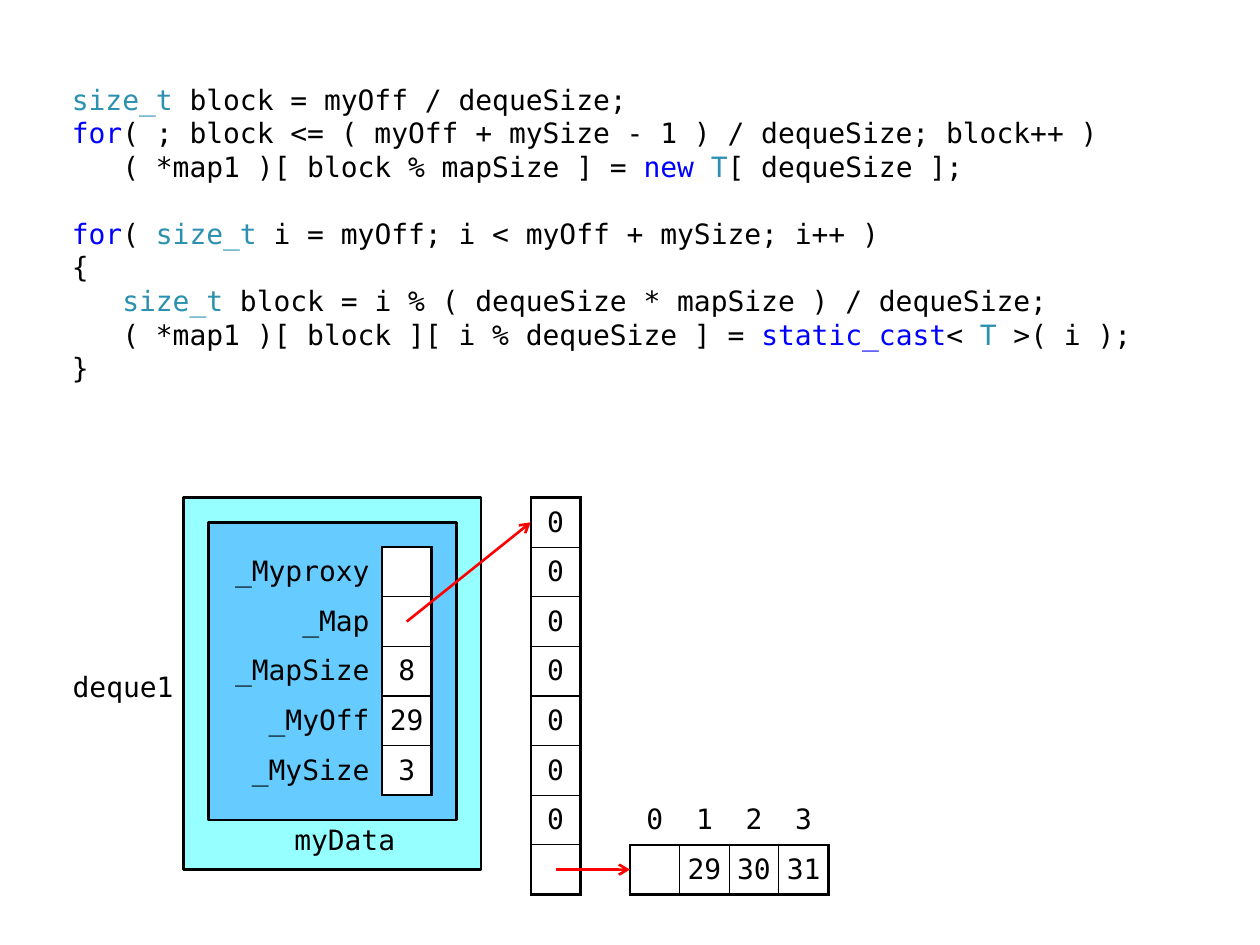
from dataclasses import dataclass

from lxml import etree
from pptx import Presentation
from pptx.dml.color import RGBColor
from pptx.enum.shapes import MSO_CONNECTOR, MSO_SHAPE
from pptx.enum.text import MSO_ANCHOR, PP_ALIGN
from pptx.oxml.ns import qn
from pptx.util import Cm, Pt

LEFT, CENTER, RIGHT = PP_ALIGN.LEFT, PP_ALIGN.CENTER, PP_ALIGN.RIGHT
TOP, MIDDLE = MSO_ANCHOR.TOP, MSO_ANCHOR.MIDDLE
PROCESS = MSO_SHAPE.FLOWCHART_PROCESS
STRAIGHT = MSO_CONNECTOR.STRAIGHT

FONT = "DejaVu Sans Mono"
BLACK, WHITE, RED = "000000", "FFFFFF", "FF0000"
KEYWORD, TYPE = "0000FF", "2B91AF"
THICK, THIN = 1.5, 0.75
CELL = 1.0
CODE_LINE = 19.2


@dataclass
class Box:
    left: float
    top: float
    width: float
    height: float
    color: str


@dataclass
class Label:
    text: str
    left: float
    top: float
    width: float
    height: float
    align: PP_ALIGN
    anchor: MSO_ANCHOR
    inset_top: float


@dataclass
class Memory:
    left: float
    top: float
    widths: list[float]
    rows: list[list[str]]
    margin: float
    first_row: int = 0
    first_col: int = 0


@dataclass
class Pointer:
    start: tuple[float, float]
    end: tuple[float, float]


CODE = [
    [("size_t", TYPE), (" block = myOff / dequeSize;", BLACK)],
    [("for", KEYWORD), ("( ; block <= ( myOff + mySize - 1 ) / dequeSize; block++ )", BLACK)],
    [("   ( *map1 )[ block % mapSize ] = ", BLACK), ("new ", KEYWORD), ("T", TYPE),
     ("[ dequeSize ];", BLACK)],
    [("for", KEYWORD), ("( ", BLACK), ("size_t", TYPE),
     (" i = myOff; i < myOff + mySize; i++ )", BLACK)],
    [("{", BLACK)],
    [("   ", BLACK), ("size_t", TYPE), (" block = i % ( dequeSize * mapSize ) / dequeSize;", BLACK)],
    [("   ( *map1 )[ block ][ i % dequeSize ] = ", BLACK), ("static_cast", KEYWORD),
     ("< ", BLACK), ("T", TYPE), (" >( i );", BLACK)],
    [("}", BLACK)],
]
SECOND_LOOP = 3

BOXES = [
    Box(3.7, 10.03, 6, 7.5, "96FFFF"),
    Box(4.2, 10.53, 5, 6, "66CCFF"),
]
LABELS = [
    Label("deque1", 1.2, 13.03, 2.5, 1.5, RIGHT, MIDDLE, 0.1),
    Label("myData", 5.7, 16.53, 2.5, 1, CENTER, TOP, 0.05),
]
MEMORIES = [
    Memory(4.2, 11.03, [3.5, CELL],
           [["_Myproxy", ""], ["_Map", ""], ["_MapSize", "8"], ["_MyOff", "29"], ["_MySize", "3"]],
           0, first_col=1),
    Memory(10.7, 10.03, [CELL], [["0"]] * 7 + [[""]], 0.2),
    Memory(12.7, 16.03, [CELL] * 4, [["0", "1", "2", "3"], ["", "29", "30", "31"]],
           0.1, first_row=1),
]
POINTERS = [
    Pointer((8.2, 12.53), (10.7, 10.53)),
    Pointer((11.2, 17.53), (12.7, 17.53)),
]


def rgb(color: str) -> RGBColor:
    return RGBColor.from_string(color)


def style_run(run, color: str = BLACK) -> None:
    run.font.name = FONT
    run.font.size = Pt(16)
    run.font.color.rgb = rgb(color)


def draw_code(slide) -> None:
    frame = slide.shapes.add_textbox(Cm(1.2), Cm(1.53), Cm(23), Cm(6.5)).text_frame
    frame.word_wrap = True
    for number, line in enumerate(CODE):
        paragraph = frame.add_paragraph() if number else frame.paragraphs[0]
        paragraph.line_spacing = Pt(CODE_LINE)
        if number == SECOND_LOOP:
            paragraph.space_before = Pt(CODE_LINE)
        for text, color in line:
            run = paragraph.add_run()
            run.text = text
            style_run(run, color)


def draw_box(slide, box: Box) -> None:
    shape = slide.shapes.add_shape(PROCESS, Cm(box.left), Cm(box.top), Cm(box.width), Cm(box.height))
    shape.shadow.inherit = False
    shape.fill.solid()
    shape.fill.fore_color.rgb = rgb(box.color)
    shape.line.color.rgb = rgb(BLACK)
    shape.line.width = Pt(THICK)


def draw_label(slide, label: Label) -> None:
    frame = slide.shapes.add_textbox(
        Cm(label.left), Cm(label.top), Cm(label.width), Cm(label.height)).text_frame
    frame.word_wrap = True
    frame.vertical_anchor = label.anchor
    frame.margin_left = frame.margin_right = Cm(0.2)
    frame.margin_top, frame.margin_bottom = Cm(label.inset_top), Cm(0)
    frame.text = label.text
    frame.paragraphs[0].alignment = label.align
    style_run(frame.paragraphs[0].runs[0])


def set_border(cell, side: str, width: float) -> None:
    border = etree.SubElement(cell._tc.get_or_add_tcPr(), qn(f"a:{side}"), w=str(Pt(width)))
    if width:
        fill = etree.SubElement(border, qn("a:solidFill"))
        etree.SubElement(fill, qn("a:srgbClr"), val=BLACK)
    else:
        etree.SubElement(border, qn("a:noFill"))


def draw_memory(slide, memory: Memory) -> None:
    row_count, col_count = len(memory.rows), len(memory.widths)
    table = slide.shapes.add_table(row_count, col_count, Cm(memory.left), Cm(memory.top),
                                   Cm(sum(memory.widths)), Cm(CELL * row_count)).table
    table.first_row = table.horz_banding = False
    for col, width in enumerate(memory.widths):
        table.columns[col].width = Cm(width)

    def stored(row: int, col: int) -> bool:
        return memory.first_row <= row < row_count and memory.first_col <= col < col_count

    for row, values in enumerate(memory.rows):
        table.rows[row].height = Cm(CELL)
        for col, value in enumerate(values):
            cell = table.cell(row, col)
            inside = stored(row, col)
            is_name = col < memory.first_col
            cell.vertical_anchor = MIDDLE
            cell.margin_left = cell.margin_right = Cm(0.25 if is_name else memory.margin)
            cell.margin_top = cell.margin_bottom = Cm(0.1)
            neighbours = {"lnL": (row, col - 1), "lnR": (row, col + 1),
                          "lnT": (row - 1, col), "lnB": (row + 1, col)}
            for side, place in neighbours.items():
                touching = inside + stored(*place)
                set_border(cell, side, (0, THICK, THIN)[touching])
            if inside:
                cell.fill.solid()
                cell.fill.fore_color.rgb = rgb(WHITE)
            else:
                cell.fill.background()
            if value:
                cell.text_frame.text = value
                paragraph = cell.text_frame.paragraphs[0]
                paragraph.alignment = RIGHT if is_name else CENTER
                style_run(paragraph.runs[0])


def draw_pointer(slide, pointer: Pointer) -> None:
    ends = [Cm(length) for length in (*pointer.start, *pointer.end)]
    arrow = slide.shapes.add_connector(STRAIGHT, *ends)
    arrow.line.color.rgb = rgb(RED)
    arrow.line.width = Pt(THICK)
    etree.SubElement(arrow.line._get_or_add_ln(), qn("a:tailEnd"), type="arrow")
    etree.SubElement(arrow._element.spPr, qn("a:effectLst"))


deck = Presentation()
deck.slide_width, deck.slide_height = Cm(25.4), Cm(19.05)
deque_slide = deck.slides.add_slide(deck.slide_layouts[6])
draw_code(deque_slide)
for items, draw in ((BOXES, draw_box), (LABELS, draw_label),
                    (MEMORIES, draw_memory), (POINTERS, draw_pointer)):
    for item in items:
        draw(deque_slide, item)
deck.save("out.pptx")
